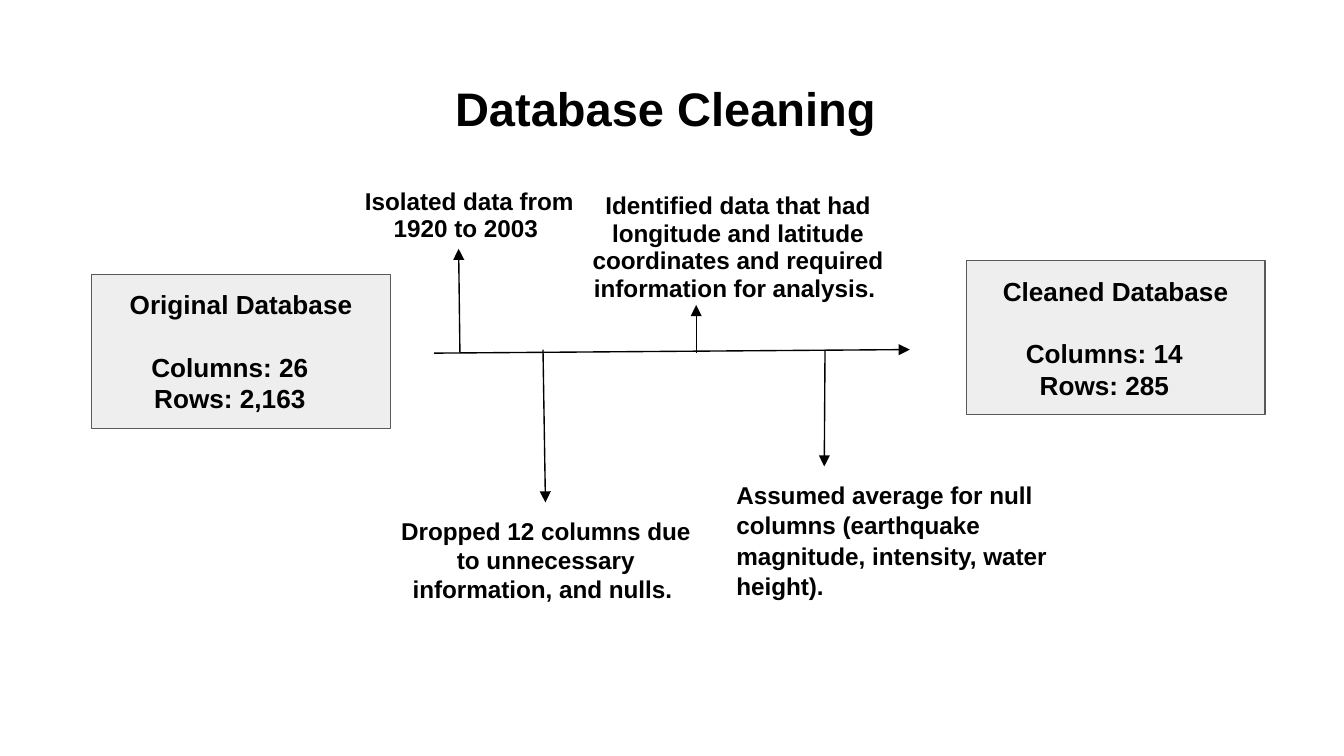
from pptx import Presentation
from pptx.dml.color import RGBColor
from pptx.enum.shapes import MSO_CONNECTOR as CONN, MSO_SHAPE as SHAPE
from pptx.enum.text import MSO_ANCHOR as ANCHOR, MSO_AUTO_SIZE as FIT, PP_ALIGN as ALIGN
from pptx.oxml.ns import qn
from pptx.util import Pt
from lxml.etree import SubElement

BLACK = RGBColor(0x00, 0x00, 0x00)
GREY = RGBColor(0x59, 0x59, 0x59)
LIGHT = RGBColor(0xEE, 0xEE, 0xEE)


def add_text(tf, text, size=13, align=ALIGN.CENTER, spacing=1.0, after=0,
             right=0, first=True):
    p = tf.paragraphs[0] if first else tf.add_paragraph()
    p.alignment = align
    p.line_spacing = spacing
    p.space_before = Pt(0)
    p.space_after = Pt(after)
    if right:
        p._p.get_or_add_pPr().set("marR", str(Pt(right)))
    r = p.add_run()
    r.text = text
    r.font.name = "Arial"
    r.font.size = Pt(size)
    r.font.bold = True
    r.font.color.rgb = BLACK


class Deck:
    font_size = 13
    box_size = 14
    inset = 7.2
    line_width = 0.75

    def __init__(self, s):
        self.s = s

    def frame(self, sp, anchor):
        tf = sp.text_frame
        tf.word_wrap = True
        tf.auto_size = FIT.NONE
        tf.vertical_anchor = anchor
        tf.margin_left = tf.margin_right = Pt(self.inset)
        tf.margin_top = tf.margin_bottom = Pt(self.inset)
        return tf

    def title(self, text, x, y, w, h):
        sp = self.s.shapes.title
        sp.left, sp.top, sp.width, sp.height = Pt(x), Pt(y), Pt(w), Pt(h)
        add_text(self.frame(sp, ANCHOR.TOP), text, size=25.2)

    def note(self, text, x, y, w, h, **style):
        sp = self.s.shapes.add_textbox(Pt(x), Pt(y), Pt(w), Pt(h))
        add_text(self.frame(sp, ANCHOR.TOP), text, size=self.font_size, **style)

    def database(self, name, columns, rows, x, y, w=160, h=82.6):
        sp = self.s.shapes.add_shape(SHAPE.RECTANGLE, Pt(x), Pt(y), Pt(w), Pt(h))
        sp.shadow.inherit = False
        sp.fill.solid()
        sp.fill.fore_color.rgb = LIGHT
        sp.line.color.rgb = GREY
        sp.line.width = Pt(self.line_width)
        tf = self.frame(sp, ANCHOR.MIDDLE)
        add_text(tf, name, size=self.box_size, after=16.7)
        add_text(tf, f"Columns: {columns}", size=self.box_size, right=12, first=False)
        add_text(tf, f"Rows: {rows}", size=self.box_size, first=False)

    def arrow(self, x1, y1, x2, y2):
        c = self.s.shapes.add_connector(CONN.STRAIGHT, Pt(x1), Pt(y1), Pt(x2), Pt(y2))
        c.line.color.rgb = BLACK
        c.line.width = Pt(self.line_width)
        SubElement(c.line._get_or_add_ln(), qn("a:tailEnd"), type="triangle")
        SubElement(c._element.spPr, qn("a:effectLst"))


def main():
    prs = Presentation()
    prs.slide_width, prs.slide_height = Pt(720), Pt(405)
    deck = Deck(prs.slides.add_slide(prs.slide_layouts[5]))

    deck.title("Database Cleaning ", 24.5, 35.3, 671, 45.4)
    deck.database("Original Database", "26", "2,163", 49.2, 147)
    deck.database("Cleaned Database", "14", "285", 517.7, 139.6)

    deck.arrow(232.6, 189.2, 487.4, 187.3)
    for x1, y1, x2, y2 in (
        (246.4, 188.8, 245.7, 133.3),
        (290.9, 187.3, 292.2, 269.2),
        (373, 189.2, 373, 163.4),
        (442, 187.3, 441.6, 249.9),
    ):
        deck.arrow(x1, y1, x2, y2)

    deck.note("Isolated data from 1920 to 2003 ", 175.7, 93.6, 151.2, 51, spacing=0.95)
    deck.note("Identified data that had longitude and latitude coordinates "
              "and required information for analysis. ",
              303.1, 95.8, 184.3, 51, spacing=0.95)
    deck.note("Dropped 12 columns due to unnecessary information, and nulls. ",
              200.2, 269.3, 184.3, 51)
    deck.note("Assumed average for null columns (earthquake magnitude, "
              "intensity, water height).",
              387.4, 249.1, 203.8, 82.8, align=ALIGN.LEFT, spacing=1.05, after=12)

    prs.save("out.pptx")


if __name__ == "__main__":
    main()
